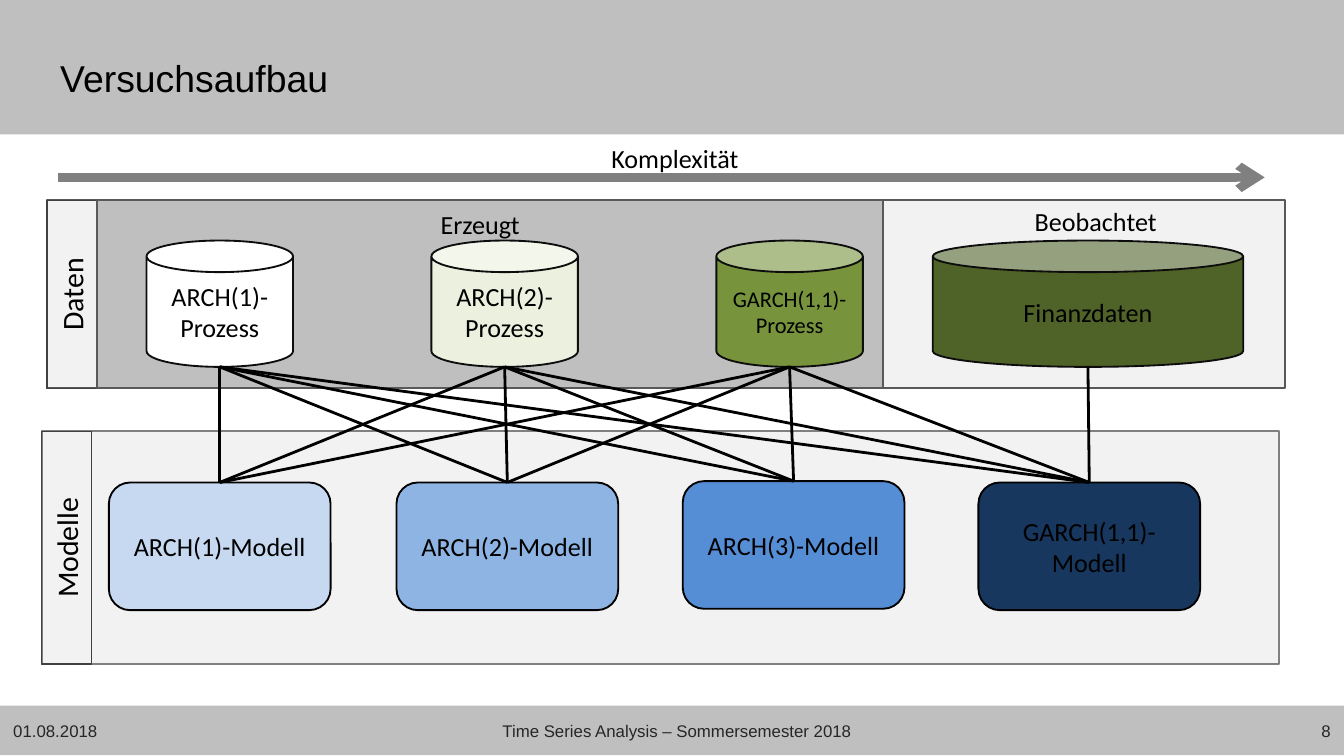
"""Build the experiment setup slide linking data processes to models."""
from lxml import etree
from pptx import Presentation
from pptx.dml.color import RGBColor
from pptx.enum.shapes import MSO_CONNECTOR, MSO_SHAPE
from pptx.enum.text import MSO_ANCHOR, PP_ALIGN
from pptx.oxml.ns import qn
from pptx.util import Inches, Pt

RECT = MSO_SHAPE.RECTANGLE
CAN = MSO_SHAPE.CAN
PROCESS = MSO_SHAPE.FLOWCHART_ALTERNATE_PROCESS
STRAIGHT = MSO_CONNECTOR.STRAIGHT
LEFT, CENTER, RIGHT = PP_ALIGN.LEFT, PP_ALIGN.CENTER, PP_ALIGN.RIGHT
TOP, MIDDLE = MSO_ANCHOR.TOP, MSO_ANCHOR.MIDDLE

BLACK = RGBColor(0x00, 0x00, 0x00)
WHITE = RGBColor(0xFF, 0xFF, 0xFF)
SILVER = RGBColor(0xBF, 0xBF, 0xBF)
PALE = RGBColor(0xF2, 0xF2, 0xF2)
GRAY = RGBColor(0x80, 0x80, 0x80)
SLATE = RGBColor(0x59, 0x59, 0x59)
CHARCOAL = RGBColor(0x40, 0x40, 0x40)
FOOTER_INK = RGBColor(0x26, 0x26, 0x26)
CAN_EDGE = RGBColor(0x0D, 0x0D, 0x0D)
MINT = RGBColor(0xEB, 0xF1, 0xDE)
GREEN = RGBColor(0x77, 0x93, 0x3C)
DARK_GREEN = RGBColor(0x4F, 0x62, 0x28)
ICE = RGBColor(0xC6, 0xD9, 0xF1)
SKY = RGBColor(0x8E, 0xB4, 0xE3)
BLUE = RGBColor(0x55, 0x8E, 0xD5)
NAVY = RGBColor(0x17, 0x37, 0x5E)

prs = Presentation()
prs.slide_width = Inches(10)
prs.slide_height = Inches(10 * 9 / 16)
slide = prs.slides.add_slide(prs.slide_layouts[6])
shapes = slide.shapes


def add_box(kind, bounds, fill, edge=None, width=1):
    box = shapes.add_shape(kind, *map(Inches, bounds))
    box.shadow.inherit = False
    if fill is None:
        box.fill.background()
    else:
        box.fill.solid()
        box.fill.fore_color.rgb = fill
    if edge is None:
        box.line.fill.background()
    else:
        box.line.color.rgb = edge
        box.line.width = Pt(width)
    return box


def write(box, text, size, font="Calibri", color=BLACK, align=CENTER, anchor=MIDDLE, wrap=True):
    frame = box.text_frame
    frame.text = text
    frame.word_wrap = wrap
    frame.vertical_anchor = anchor
    paragraph = frame.paragraphs[0]
    paragraph.alignment = align
    run_font = paragraph.runs[0].font
    run_font.size = Pt(size)
    run_font.name = font
    run_font.color.rgb = color


add_box(RECT, (0, 0, 10, 1), SILVER)
add_box(RECT, (0, 5.25, 10, 0.37), SILVER)
title = shapes.add_textbox(Inches(0.35), Inches(0.23), Inches(8.43), Inches(0.7))
write(title, "Versuchsaufbau", 20, "Arial", align=LEFT)
for text, left, width, align in (
    ("01.08.2018", 0, 0.91, LEFT),
    ("Time Series Analysis – Sommersemester 2018", 1.06, 7.95, CENTER),
    ("8", 9.09, 0.91, RIGHT),
):
    footer = shapes.add_textbox(Inches(left), Inches(5.32), Inches(width), Inches(0.24))
    write(footer, text, 9, "Arial", FOOTER_INK, align)

for name, left, top, height, edge in (
    ("Daten", 0.35, 1.49, 1.4, SLATE),
    ("Modelle", 0.31, 3.21, 1.73, GRAY),
):
    add_box(RECT, (left, top, 9.21, height), PALE, edge)
    tab_width = 0.37
    offset = (height - tab_width) / 2
    tab = add_box(RECT, (left - offset, top + offset, height, tab_width), None, CHARCOAL, 0.75)
    tab.rotation = 270
    write(tab, name, 16, anchor=TOP)
add_box(RECT, (0.72, 1.49, 5.85, 1.4), SILVER, SLATE)

for text, left, top, width in (
    ("Erzeugt", 3.18, 1.5, 0.8),
    ("Beobachtet", 7.6, 1.48, 1.12),
    ("Komplexität", 4.45, 1.01, 1.16),
):
    caption = shapes.add_textbox(Inches(left), Inches(top), Inches(width), Inches(0.34))
    write(caption, text, 14, align=LEFT, anchor=TOP, wrap=False)

sources = []
for text, left, width, fill, size in (
    ("ARCH(1)-Prozess", 1.09, 1.09, WHITE, 14),
    ("ARCH(2)-Prozess", 3.21, 1.09, MINT, 14),
    ("GARCH(1,1)-Prozess", 5.33, 1.09, GREEN, 12),
    ("Finanzdaten", 6.94, 2.31, DARK_GREEN, 14),
):
    source = add_box(CAN, (left, 1.79, width, 0.94), fill, CAN_EDGE)
    write(source, text, size)
    sources.append(source)

models = []
for text, left, top, fill in (
    ("ARCH(1)-Modell", 0.81, 3.59, ICE),
    ("ARCH(2)-Modell", 2.95, 3.59, SKY),
    ("ARCH(3)-Modell", 5.08, 3.58, BLUE),
    ("GARCH(1,1)-Modell", 7.28, 3.59, NAVY),
):
    model = add_box(PROCESS, (left, top, 1.65, 0.95), fill, BLACK)
    write(model, text, 14)
    models.append(model)

lines = [(Inches(0.43), Inches(1.32), Inches(9.41), Inches(1.32), GRAY, 4.5)]
pairs = [(source, model) for source in sources[:3] for model in models]
pairs.append((sources[3], models[3]))
for source, model in pairs:
    lines.append((
        source.left + source.width // 2, source.top + source.height,
        model.left + model.width // 2, model.top, BLACK, 1.5,
    ))
for index, (x1, y1, x2, y2, color, width) in enumerate(lines):
    link = shapes.add_connector(STRAIGHT, x1, y1, x2, y2)
    link.line.color.rgb = color
    link.line.width = Pt(width)
    if index == 0:
        etree.SubElement(link._element.spPr.get_or_add_ln(), qn("a:tailEnd"), type="arrow")
    etree.SubElement(link._element.spPr, qn("a:effectLst"))

prs.save("out.pptx")
